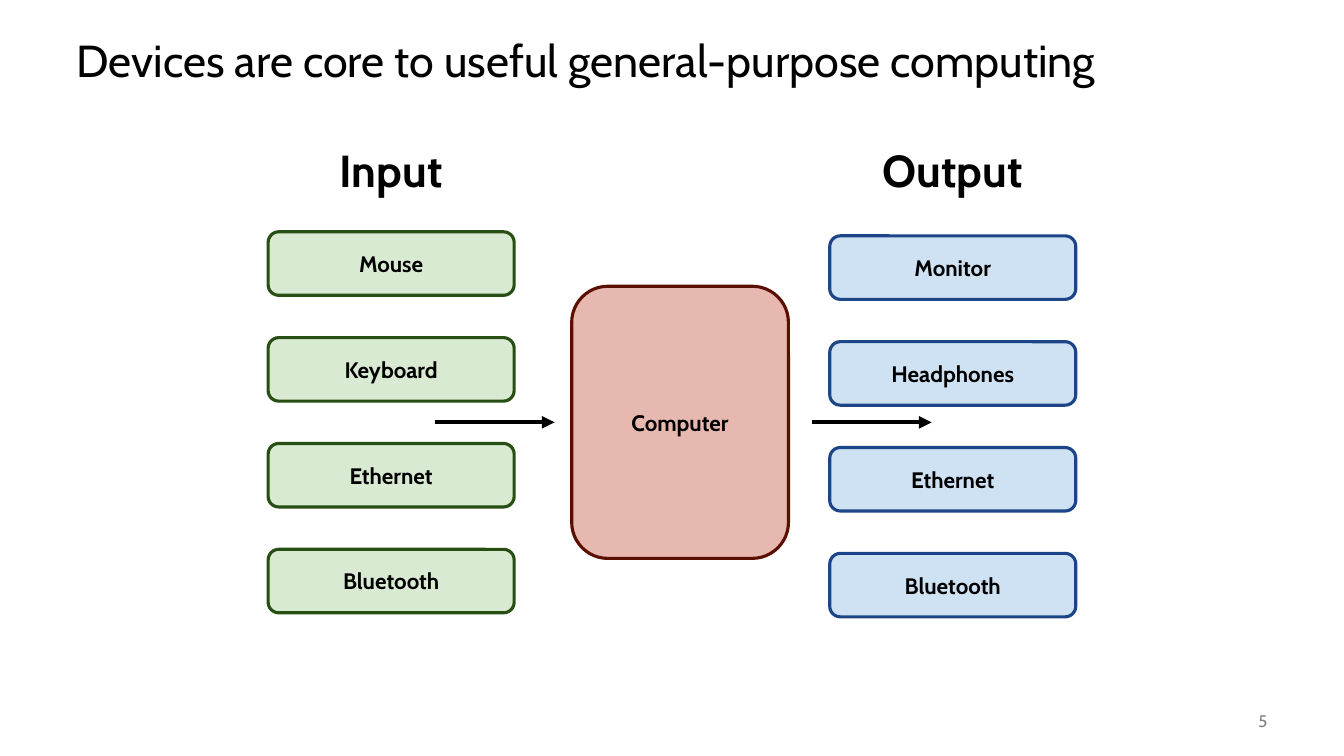
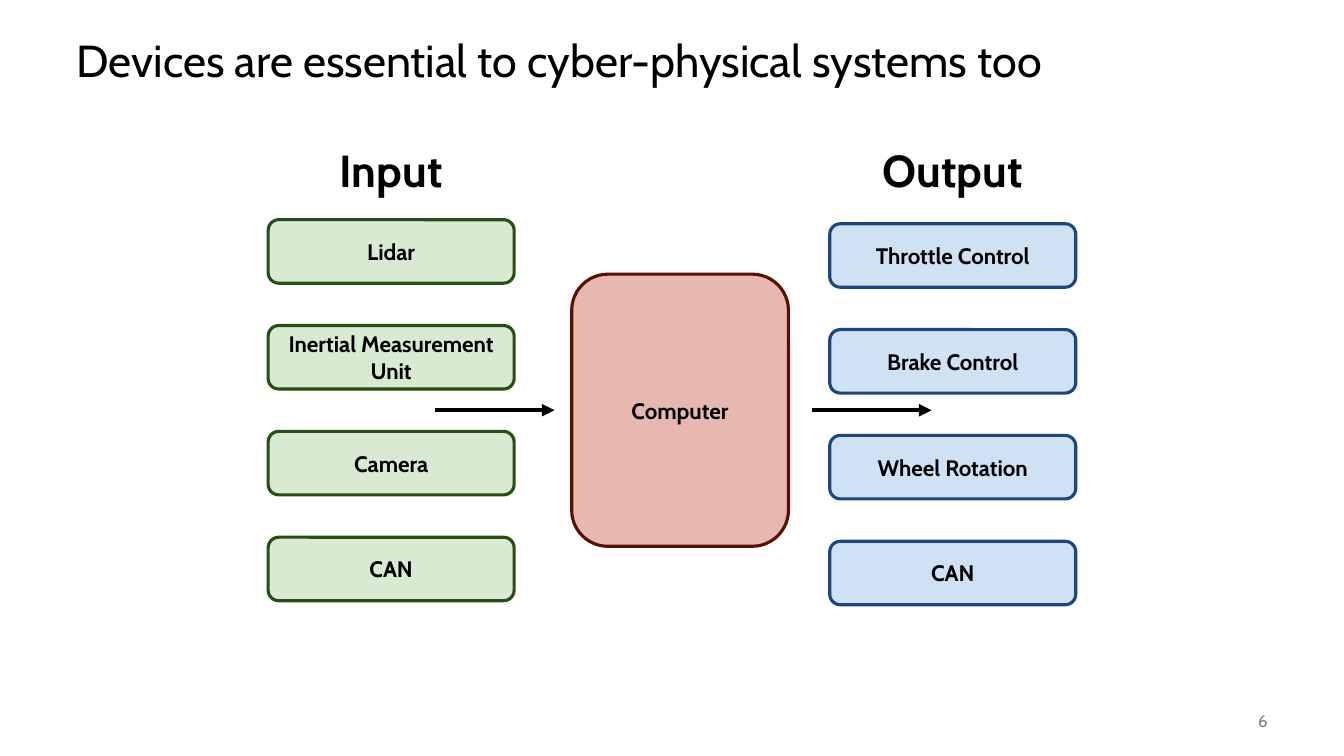
from dataclasses import dataclass

from lxml.etree import SubElement
from pptx import Presentation
from pptx.dml.color import RGBColor
from pptx.enum.shapes import MSO_CONNECTOR, MSO_SHAPE
from pptx.enum.text import MSO_ANCHOR, PP_ALIGN
from pptx.oxml.ns import qn
from pptx.util import Pt

SCALE = 9144  # EMU per px, at 100 px to the inch


def px(num):
    return num * SCALE


@dataclass(frozen=True)
class Theme:
    font: str = "Cabin"
    ink: str = "000000"
    gray: str = "808080"
    red: tuple = ("E6B8AF", "5B0F00")  # fill, line
    green: tuple = ("D9EAD3", "274E13")
    blue: tuple = ("CFE2F3", "1C4587")
    head: int = 32
    body: int = 16
    small: int = 12
    edge: float = 2.25
    arrow: int = 3


class Deck:
    def __init__(self, theme):
        self.theme = theme
        self.prs = Presentation()
        self.prs.slide_width, self.prs.slide_height = px(1333), px(750)
        self.slide = None

    # Shared frame: title and page number
    def page(self, title, num):
        self.slide = self.prs.slides.add_slide(self.prs.slide_layouts[6])
        para = self.label(title, 66, 25, 1200, 75, self.theme.head)
        para.line_spacing = 0.9
        self.label(str(num), 1167, 695, 100, 40, self.theme.small,
                   align=PP_ALIGN.RIGHT, color=self.theme.gray)

    def text(self, frame, words, size, align, bold=False, color=None):
        frame.word_wrap = True
        para = frame.paragraphs[0]
        para.alignment = align
        run = para.add_run()
        run.text = words
        font = run.font
        font.name, font.size, font.bold = self.theme.font, Pt(size), bold
        font.color.rgb = RGBColor.from_string(color or self.theme.ink)
        return para

    def label(self, words, left, top, width, height, size,
              align=PP_ALIGN.LEFT, anchor=MSO_ANCHOR.MIDDLE, bold=False, color=None):
        box = self.slide.shapes.add_textbox(px(left), px(top), px(width), px(height))
        box.text_frame.vertical_anchor = anchor
        return self.text(box.text_frame, words, size, align, bold, color)

    def block(self, words, left, top, width, height, paint):
        box = self.slide.shapes.add_shape(
            MSO_SHAPE.ROUNDED_RECTANGLE, px(left), px(top), px(width), px(height))
        box.shadow.inherit = False
        fill, edge = paint
        box.fill.solid()
        box.fill.fore_color.rgb = RGBColor.from_string(fill)
        box.line.color.rgb = RGBColor.from_string(edge)
        box.line.width = Pt(self.theme.edge)
        frame = box.text_frame
        frame.margin_left = frame.margin_right = px(10)
        frame.margin_top = frame.margin_bottom = px(10)
        frame.vertical_anchor = MSO_ANCHOR.MIDDLE
        self.text(frame, words, self.theme.body, PP_ALIGN.CENTER, bold=True)

    def arrow(self, left, top, width):
        link = self.slide.shapes.add_connector(
            MSO_CONNECTOR.STRAIGHT, px(left), px(top), px(left + width), px(top))
        link.line.color.rgb = RGBColor.from_string(self.theme.ink)
        link.line.width = Pt(self.theme.arrow)
        props = link.element.spPr
        SubElement(props.find(qn("a:ln")), qn("a:tailEnd"), type="triangle")
        SubElement(props, qn("a:effectLst"))

    # Heading above a stack of evenly spaced devices
    def stack(self, head, names, left, top, paint):
        width, height, step = 244, 63, 105
        for row, name in enumerate(names):
            self.block(name, left, top + row * step, width, height, paint)
        self.label(head, left, 137, width, 64, self.theme.head,
                   align=PP_ALIGN.CENTER, anchor=MSO_ANCHOR.TOP, bold=True)

    # Inputs, computer, outputs and the flow between them
    def flow(self, inputs, outputs, top):
        core, tall = top + 54, 270
        self.block("Computer", 567, core, 215, tall, self.theme.red)
        self.stack("Input", inputs, 266, top, self.theme.green)
        self.stack("Output", outputs, 823, top + 4, self.theme.blue)
        for left in (431, 805):
            self.arrow(left, core + tall // 2, 119)


PAGES = [
    ("Devices are core to useful general-purpose computing", 230,
     ["Mouse", "Keyboard", "Ethernet", "Bluetooth"],
     ["Monitor", "Headphones", "Ethernet", "Bluetooth"]),
    ("Devices are essential to cyber-physical systems too", 218,
     ["Lidar", "Inertial Measurement Unit", "Camera", "CAN"],
     ["Throttle Control", "Brake Control", "Wheel Rotation", "CAN"]),
]


def main():
    deck = Deck(Theme())
    for num, (title, top, inputs, outputs) in enumerate(PAGES, start=5):
        deck.page(title, num)
        deck.flow(inputs, outputs, top)
    deck.prs.save("out.pptx")


if __name__ == "__main__":
    main()
